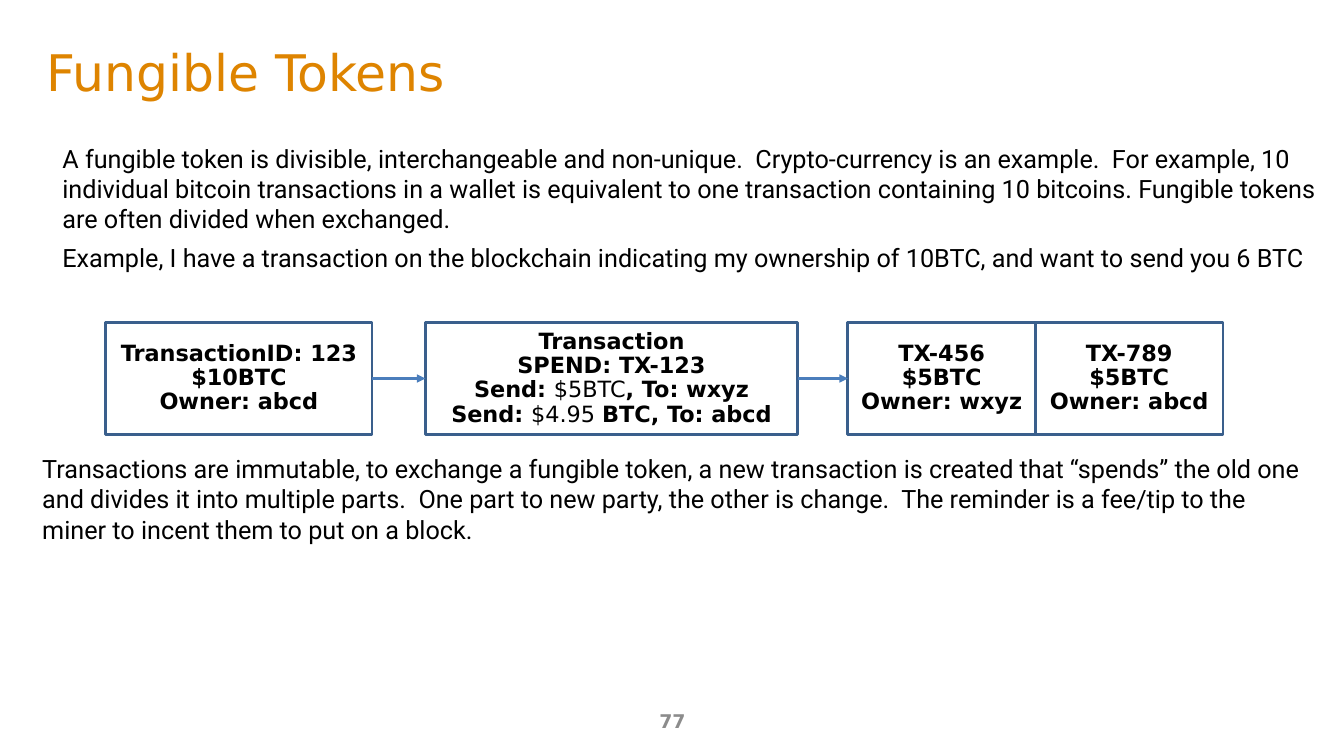
import pptx
import pptx.util
import pptx.dml.color
import pptx.enum.shapes
import pptx.enum.text
import pptx.oxml

Inches = pptx.util.Inches
Pt = pptx.util.Pt
Align = pptx.enum.text.PP_ALIGN
Anchor = pptx.enum.text.MSO_ANCHOR
Kind = pptx.enum.shapes
NS = 'xmlns:a="http://schemas.openxmlformats.org/drawingml/2006/main"'

COLORS = {"title": "DE8400", "text": "000000", "page": "8C8C8C",
          "edge": "3A5F8C", "arrow": "4B7EBC"}


def color(name):
    return pptx.dml.color.RGBColor.from_string(COLORS[name])


def write(shape, paras, anchor, form, font, tint):
    frame = shape.text_frame
    frame.word_wrap = True
    frame.vertical_anchor = anchor
    for i, runs in enumerate(paras):
        para = frame.paragraphs[0] if i == 0 else frame.add_paragraph()
        for name, value in form.items():
            setattr(para, name, value)
        for text, bold in runs:
            for j, line in enumerate(text.split("\n")):
                if j:
                    para.add_line_break()
                if line:
                    run = para.add_run()
                    run.text = line
                    for name, value in {**font, "bold": bold}.items():
                        setattr(run.font, name, value)
                    run.font.color.rgb = color(tint)


deck = pptx.Presentation()
deck.slide_width = Inches(13.33)
deck.slide_height = Inches(7.5)
slide = deck.slides.add_slide(deck.slide_layouts[6])
shapes = slide.shapes

body = {"name": "Roboto", "size": Pt(18)}
gap = {"space_after": Pt(6)}
center = {"alignment": Align.CENTER}

intro = [
    [("A fungible token is divisible, interchangeable and non-unique.  "
      "Crypto-currency is an example.  For example, 10 individual bitcoin "
      "transactions in a wallet is equivalent to one transaction containing "
      "10 bitcoins. Fungible tokens are often divided when exchanged.", False)],
    [("Example, I have a transaction on the blockchain indicating my "
      "ownership of 10BTC, and want to send you 6 BTC", False)],
]
close = [
    [("Transactions are immutable, to exchange a fungible token, a new "
      "transaction is created that “spends” the old one and divides it into "
      "multiple parts.  One part to new party, the other is change.  The "
      "reminder is a fee/tip to the miner to incent them to put on a block.",
      False)],
]
texts = [
    ((0.36, 0.33, 11.96, 0.76), [[("Fungible Tokens", False)]], Anchor.MIDDLE,
     {}, {"name": "DejaVu Sans", "size": Pt(36)}, "title"),
    ((0.52, 1.37, 12.69, 1.4), intro, Anchor.TOP, gap, body, "text"),
    ((0.32, 4.45, 12.69, 1.01), close, Anchor.TOP, gap, body, "text"),
    ((4.56, 6.95, 4.22, 0.4), [[("77", True)]], Anchor.MIDDLE,
     center, {"name": "DejaVu Sans", "size": Pt(13.5)}, "page"),
]
for place, *rest in texts:
    write(shapes.add_textbox(*map(Inches, place)), *rest)

cards = [
    (1.05, 2.64, [("TransactionID: 123 $10BTC\nOwner: abcd", True)]),
    (4.22, 3.69, [("Transaction\nSPEND: TX-123\nSend: ", True),
                  ("$5BTC", False), (", To: wxyz\nSend: ", True),
                  ("$4.95 ", False), ("BTC, To: abcd", True)]),
    (8.41, 1.86, [("TX-456\n$5BTC\nOwner: wxyz", True)]),
    (10.27, 1.86, [("TX-789\n$5BTC\nOwner: abcd", True)]),
]
boxes = []
for left, width, runs in cards:
    box = shapes.add_shape(Kind.MSO_SHAPE.RECTANGLE, Inches(left), Inches(3.2),
                           Inches(width), Inches(1.11))
    box.shadow.inherit = False
    box.fill.background()
    box.line.color.rgb = color("edge")
    box.line.width = Pt(2)
    write(box, [runs], Anchor.MIDDLE, {**center, "line_spacing": 0.9},
          {"name": "DejaVu Sans", "size": Pt(16)}, "text")
    boxes.append(box)

for start, end in zip(boxes[:2], boxes[1:3]):
    arrow = shapes.add_connector(Kind.MSO_CONNECTOR.STRAIGHT, 0, 0, 0, 0)
    arrow.begin_connect(start, 3)
    arrow.end_connect(end, 1)
    arrow.line.color.rgb = color("arrow")
    arrow.line.width = Pt(2)
    arrow.line._get_or_add_ln().append(
        pptx.oxml.parse_xml(f'<a:tailEnd {NS} type="triangle"/>'))
    arrow._element.spPr.append(pptx.oxml.parse_xml(f"<a:effectLst {NS}/>"))

deck.save("out.pptx")
